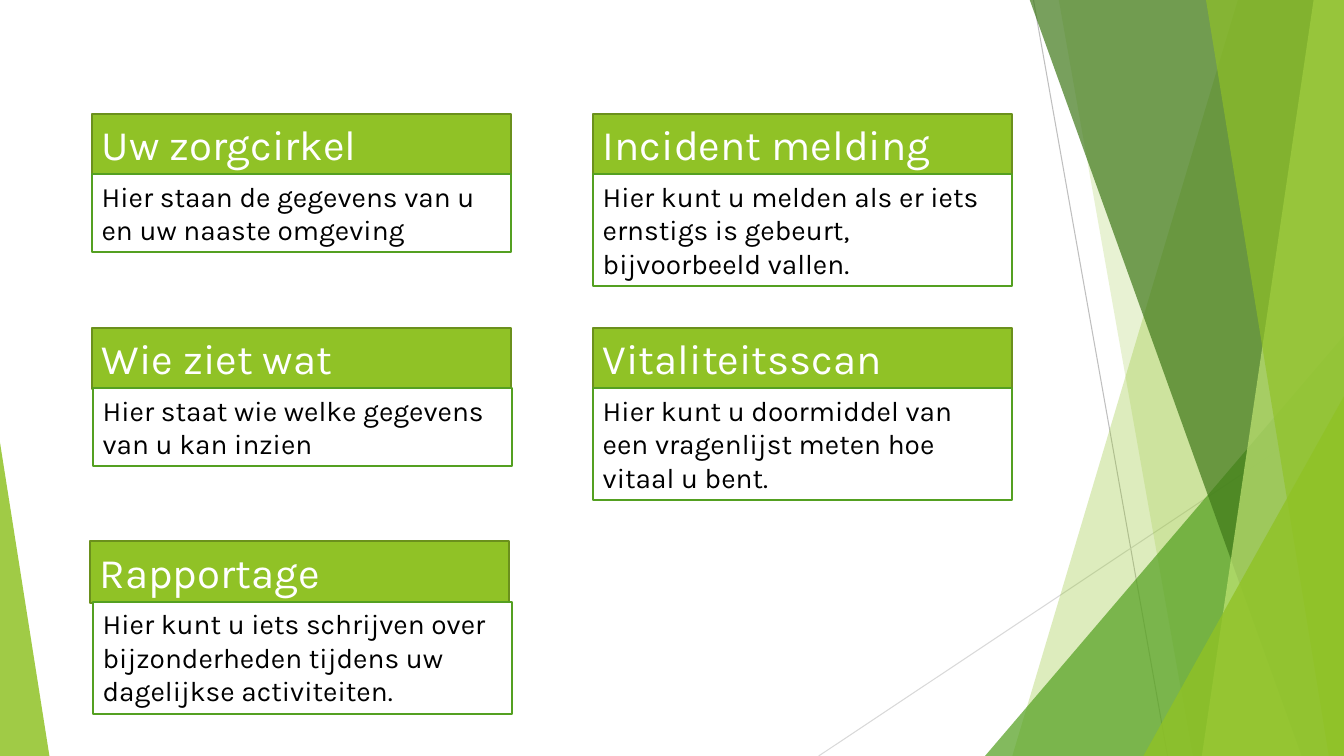
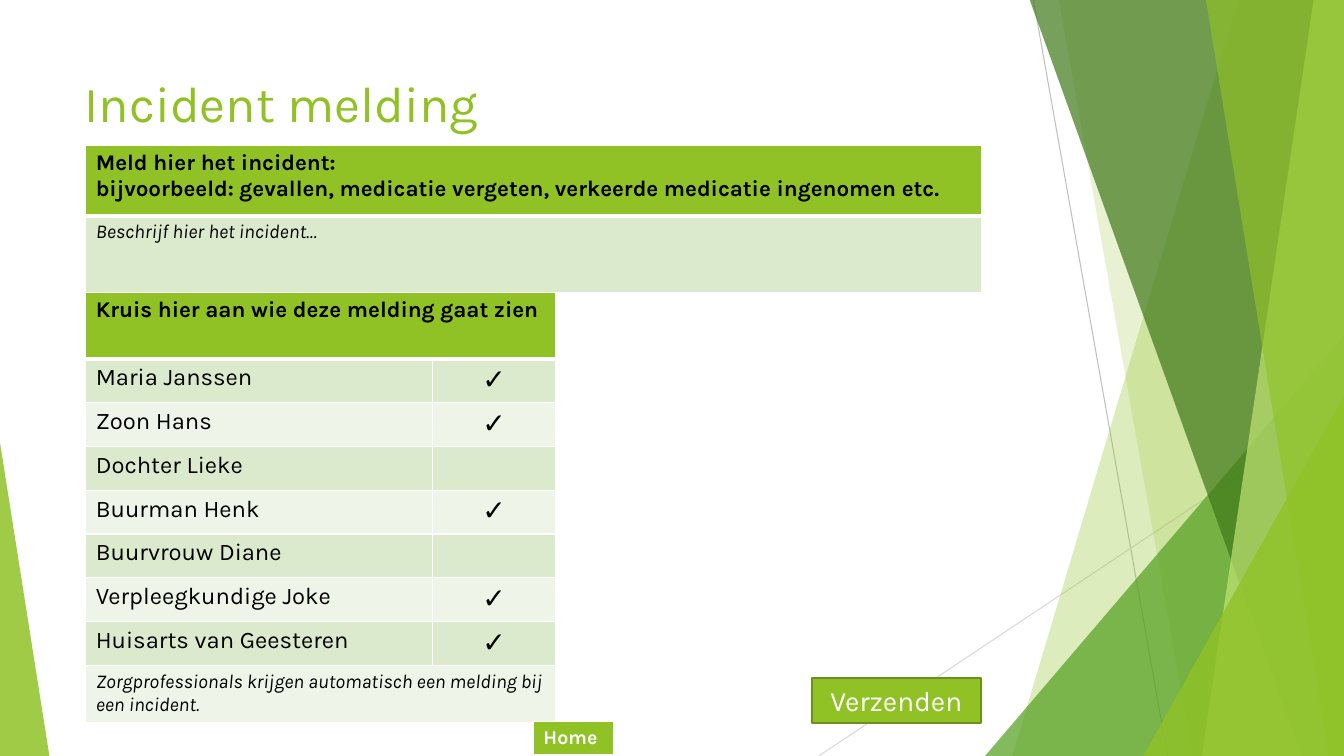
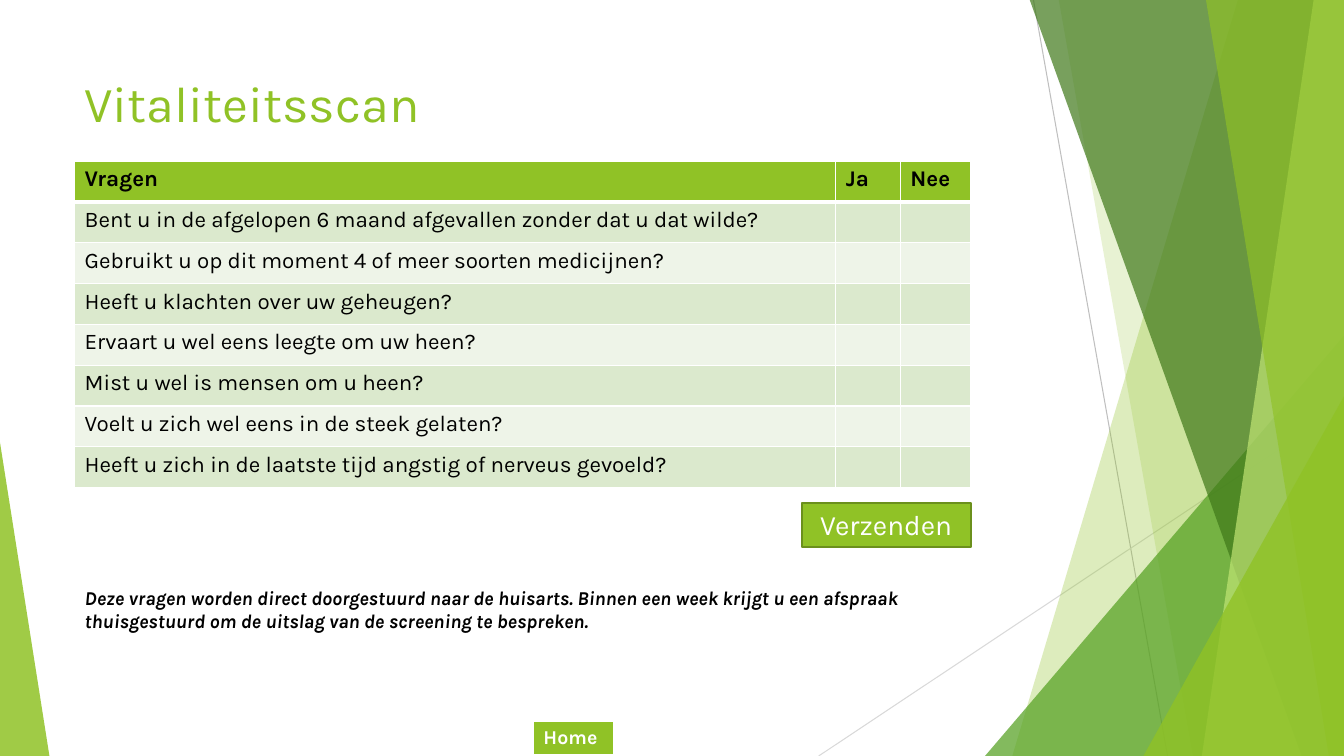
from lxml import etree
from pptx import Presentation
from pptx.dml import color
from pptx.enum import shapes, text
from pptx.oxml import ns
from pptx.util import Inches, Pt

FONT = "Karla"
GREEN, DARK_GREEN, MID_GREEN = "90C226", "6B901C", "54A021"
DEEP_GREEN, LIGHT_GREEN = "3F7819", "C0E474"
BANDS = ("EEF4E8", "DBE9CD")
WHITE, BLACK = "FFFFFF", "000000"
WIDTH, HEIGHT = 13.33, 7.5
LEFT, CENTER = text.PP_ALIGN.LEFT, text.PP_ALIGN.CENTER

HEAD = dict(size=16, bold=True)
QUESTION = dict(size=16)
PERSON = dict(size=17)
NOTE = dict(size=14, italic=True)
BOLD_NOTE = dict(size=14, bold=True, italic=True)
HOME = dict(size=14, bold=True, ink=WHITE)
TICK = dict(size=20, align=CENTER)


def rgb(value):
    return color.RGBColor.from_string(value)


def sub(parent, tag, **attrs):
    return etree.SubElement(parent, ns.qn(tag), **attrs)


def paint(fill, value, alpha=100):
    """Fill with a solid colour, alpha being the opacity in percent."""
    fill.solid()
    fill.fore_color.rgb = rgb(value)
    if alpha < 100:
        clr = fill._xPr.find(".//" + ns.qn("a:srgbClr"))
        sub(clr, "a:alpha", val=str(alpha * 1000))


def write(tf, words, size, ink=BLACK, bold=False, italic=False, align=LEFT):
    tf.word_wrap = True
    tf.text = words
    for p in tf.paragraphs:
        p.alignment = align
        p.font.name, p.font.size = FONT, Pt(size)
        p.font.bold, p.font.italic = bold, italic
        p.font.color.rgb = rgb(ink)


def border(cell, top=1, bottom=1):
    tcPr = cell._tc.get_or_add_tcPr()
    for side, width in (("L", 1), ("R", 1), ("T", top), ("B", bottom)):
        ln = sub(tcPr, "a:ln" + side, w=str(Pt(width)))
        sub(sub(ln, "a:solidFill"), "a:srgbClr", val=WHITE)


class Deck:
    """Holds the presentation, its style and the current slide."""

    def __init__(self):
        self.prs = Presentation()
        self.prs.slide_width = Inches(WIDTH)
        self.prs.slide_height = Inches(HEIGHT)

    def slide(self, title=None):
        layout = self.prs.slide_layouts[6]
        self.shapes = self.prs.slides.add_slide(layout).shapes
        self.backdrop()
        if title:
            box = self.shapes.add_textbox(
                Inches(0.74), Inches(0.67), Inches(9.4), Inches(1.44))
            write(box.text_frame, title, 36, GREEN)

    def backdrop(self):
        self.line(10.25, 0, 11.58, HEIGHT, "BFBFBF")
        self.line(WIDTH, 4.03, 8.12, HEIGHT, "D9D9D9")
        self.facet(12.28, 10.04, GREEN, 30)
        self.facet(10.5, 11.83, GREEN, 20)
        self.triangle(9.77, 3.33, 3.56, 1, MID_GREEN, 72)
        self.facet(10.21, 12.91, DEEP_GREEN, 70)
        self.facet(13.03, 11.92, LIGHT_GREEN, 70)
        self.facet(11.96, 13.18, GREEN, 65)
        self.triangle(11.34, 3.93, 1.99, 1, GREEN, 80)
        self.triangle(0, 4.39, 0.49, 0, GREEN, 85)

    def line(self, x1, y1, x2, y2, ink):
        c = self.shapes.add_connector(
            shapes.MSO_CONNECTOR.STRAIGHT,
            Inches(x1), Inches(y1), Inches(x2), Inches(y2))
        c.line.color.rgb, c.line.width = rgb(ink), Pt(0.75)
        sub(c._element.spPr, "a:effectLst")

    def plain(self, sp, fill, alpha=100):
        sp.shadow.inherit = False
        paint(sp.fill, fill, alpha)
        sp.line.fill.background()

    def facet(self, top_x, bottom_x, fill, alpha):
        """Full-height band from a slanted left edge to the right of the slide."""
        fb = self.shapes.build_freeform(
            Inches(top_x), Inches(-0.01), scale=1.0)
        fb.add_line_segments(
            [(Inches(x), Inches(y)) for x, y in
             ((WIDTH, -0.01), (WIDTH, HEIGHT), (bottom_x, HEIGHT))])
        self.plain(fb.convert_to_shape(), fill, alpha)

    def triangle(self, x, y, w, apex, fill, alpha):
        sp = self.shapes.add_shape(
            shapes.MSO_SHAPE.ISOSCELES_TRIANGLE,
            Inches(x), Inches(y), Inches(w), Inches(HEIGHT - y))
        sp.adjustments[0] = apex
        self.plain(sp, fill, alpha)

    def box(self, x, y, w, h, words, fill=GREEN, edge=DARK_GREEN, **style):
        sp = self.shapes.add_shape(
            shapes.MSO_SHAPE.RECTANGLE,
            Inches(x), Inches(y), Inches(w), Inches(h))
        self.plain(sp, fill)
        sp.line.color.rgb, sp.line.width = rgb(edge), Pt(1.5)
        sp.text_frame.vertical_anchor = text.MSO_ANCHOR.TOP
        write(sp.text_frame, words, **style)

    def send_button(self, x, y):
        self.box(x, y, 1.68, 0.44, "Verzenden",
                 size=20, ink=WHITE, align=CENTER)

    def table(self, x, y, cols, heights, rows, head_fill=GREEN):
        """Rows are (style, texts); a row with too few texts is merged."""
        tbl = self.shapes.add_table(
            len(rows), len(cols), Inches(x), Inches(y),
            Inches(sum(cols)), Inches(sum(heights))).table
        tbl.first_row = tbl.horz_banding = False
        for col, w in zip(tbl.columns, cols):
            col.width = Inches(w)
        for i, (style, texts) in enumerate(rows):
            tbl.rows[i].height = Inches(heights[i])
            for j in range(len(cols)):
                cell = tbl.cell(i, j)
                border(cell, 3 if i == 1 else 1, 3 if i == 0 else 1)
                paint(cell.fill, BANDS[i % 2] if i else head_fill)
                words = texts[j] if j < len(texts) else ""
                write(cell.text_frame, words,
                      **(TICK if words == "✓" else style))
            if len(texts) < len(cols):
                tbl.cell(i, 0).merge(tbl.cell(i, len(cols) - 1))

    def home_button(self):
        self.table(5.29, 7.16, [0.8], [0.33], [(HOME, ["Home"])])


def overview(deck):
    deck.slide()
    cards = [
        (0.91, 0.91, 0, 0.77, "Uw zorgcirkel",
         "Hier staan de gegevens van u en uw naaste omgeving"),
        (0.91, 0.92, 1, 0.77, "Wie ziet wat",
         "Hier staat wie welke gegevens van u kan inzien"),
        (0.89, 0.92, 2, 1.11, "Rapportage",
         "Hier kunt u iets schrijven over bijzonderheden tijdens uw "
         "dagelijkse activiteiten."),
        (5.88, 5.88, 0, 1.11, "Incident melding",
         "Hier kunt u melden als er iets ernstigs is gebeurt, "
         "bijvoorbeeld vallen."),
        (5.88, 5.88, 1, 1.11, "Vitaliteitsscan",
         "Hier kunt u doormiddel van een vragenlijst meten hoe vitaal "
         "u bent."),
    ]
    for head_x, body_x, row, body_h, head, body in cards:
        y = 1.13 + 2.12 * row
        deck.box(head_x, y, 4.16, 0.61, head, size=30, ink=WHITE)
        deck.box(body_x, y + 0.6, 4.16, body_h, body, WHITE, MID_GREEN,
                 size=20)


def incident(deck):
    deck.slide("Incident melding")
    deck.send_button(8.05, 6.73)
    deck.table(0.85, 1.44, [8.89], [0.7, 0.76], [
        (HEAD, ["Meld hier het incident:\nbijvoorbeeld: gevallen, medicatie "
                "vergeten, verkeerde medicatie ingenomen etc."]),
        (NOTE, ["Beschrijf hier het incident…"]),
    ])
    people = [
        ("Maria Janssen", "✓"),
        ("Zoon Hans", "✓"),
        ("Dochter Lieke", ""),
        ("Buurman Henk", "✓"),
        ("Buurvrouw Diane", ""),
        ("Verpleegkundige Joke", "✓"),
        ("Huisarts van Geesteren", "✓"),
    ]
    head_h, note_h = 0.66, 0.57
    person_h = (4.27 - head_h - note_h) / len(people)
    deck.table(
        0.85, 2.9, [3.44, 1.22],
        [head_h] + [person_h] * len(people) + [note_h],
        [(HEAD, ["Kruis hier aan wie deze melding gaat zien"])]
        + [(PERSON, person) for person in people]
        + [(NOTE, ["Zorgprofessionals krijgen automatisch een melding bij "
                   "een incident."])])
    deck.home_button()


def vitality(deck):
    deck.slide("Vitaliteitsscan")
    questions = [
        "Bent u in de afgelopen 6 maand afgevallen zonder dat u dat wilde?",
        "Gebruikt u op dit moment 4 of meer soorten medicijnen?",
        "Heeft u klachten over uw geheugen?",
        "Ervaart u wel eens leegte om uw heen?",
        "Mist u wel is mensen om u heen?",
        "Voelt u zich wel eens in de steek gelaten?",
        "Heeft u zich in de laatste tijd angstig of nerveus gevoeld?",
    ]
    rows = [(HEAD, ["Vragen", "Ja", "Nee"])]
    rows += [(QUESTION, [question, "", ""]) for question in questions]
    deck.table(0.74, 1.6, [7.55, 0.64, 0.7], [3.24 / len(rows)] * len(rows),
               rows)
    deck.table(0.74, 5.78, [8.89], [0.56], [
        (BOLD_NOTE, ["Deze vragen worden direct doorgestuurd naar de "
                     "huisarts. Binnen een week krijgt u een afspraak "
                     "thuisgestuurd om de uitslag van de screening te "
                     "bespreken."])], head_fill=WHITE)
    deck.send_button(7.95, 4.99)
    deck.home_button()


def main():
    deck = Deck()
    overview(deck)
    incident(deck)
    vitality(deck)
    deck.prs.save("out.pptx")


if __name__ == "__main__":
    main()
